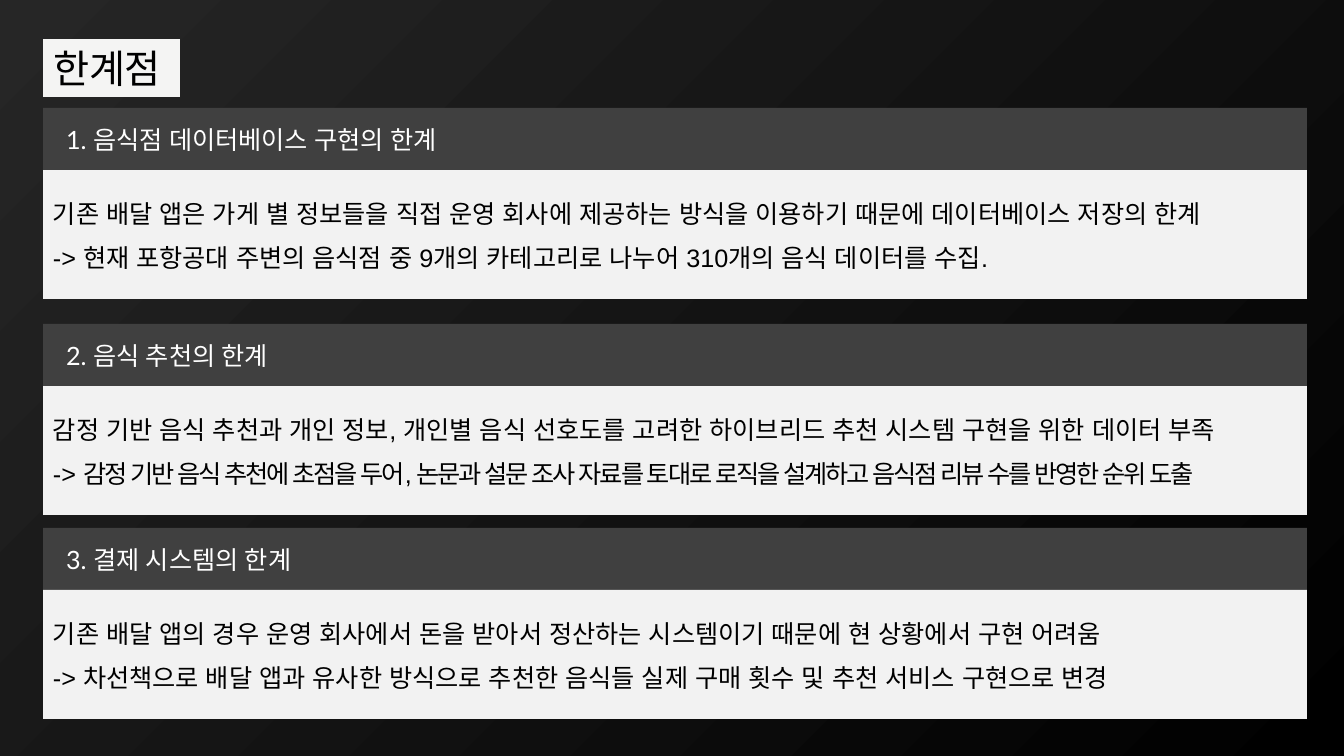
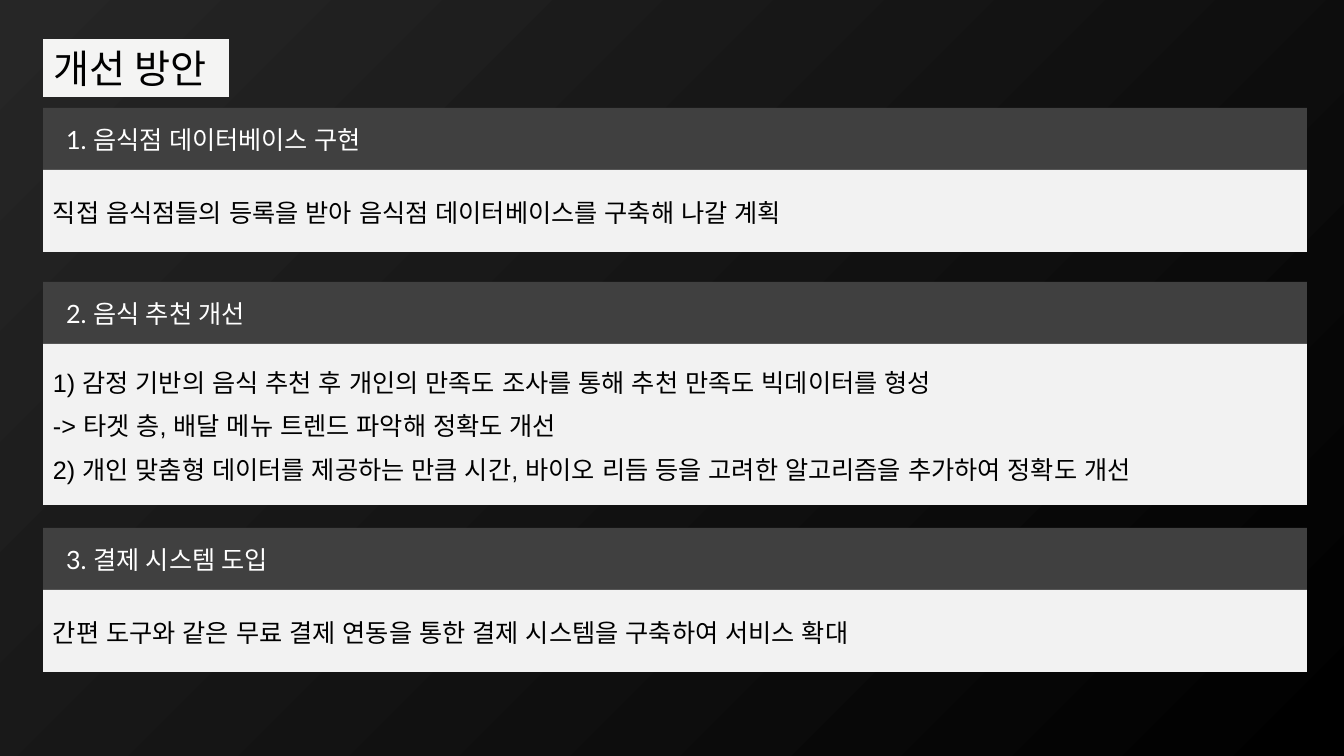
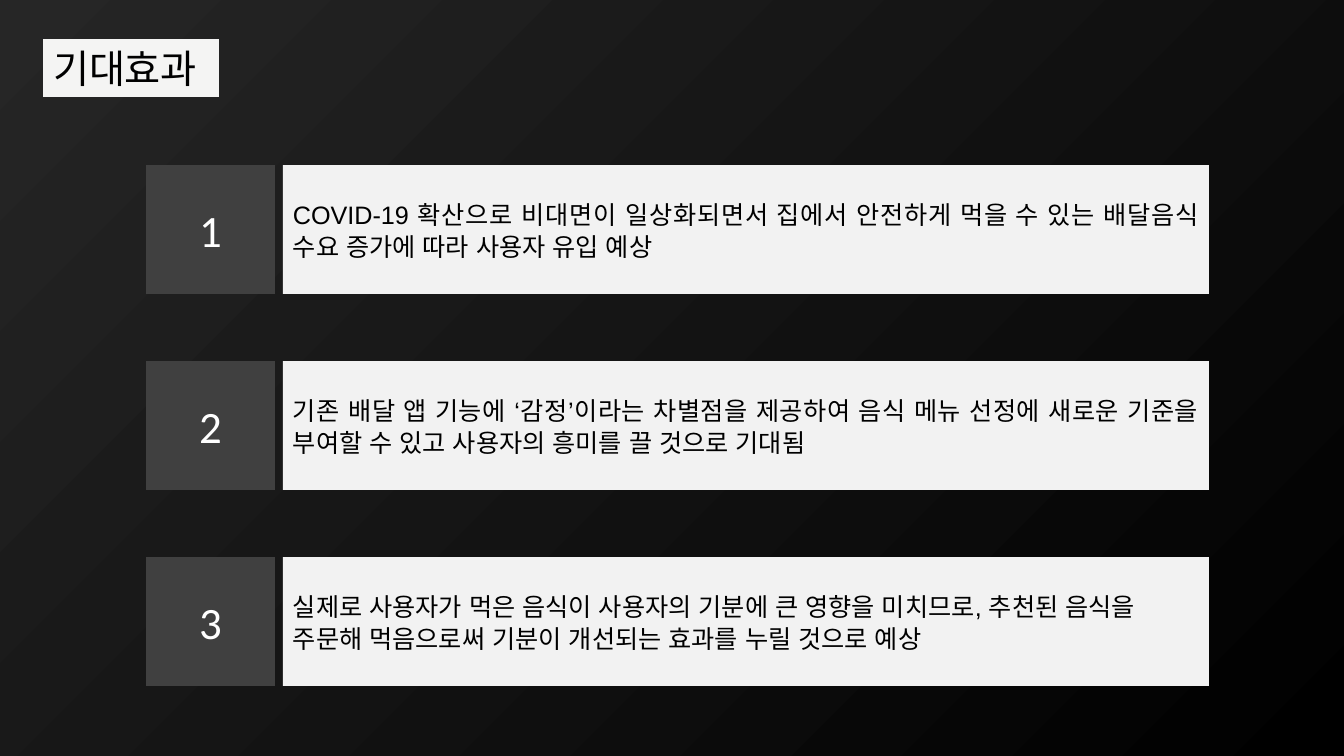
from dataclasses import dataclass

from lxml.etree import SubElement
from pptx import Presentation
from pptx.dml.color import RGBColor
from pptx.enum.shapes import MSO_SHAPE
from pptx.enum.text import MSO_ANCHOR, MSO_AUTO_SIZE, PP_ALIGN
from pptx.oxml.ns import qn
from pptx.util import Emu, Pt


@dataclass(frozen=True)
class Theme:
    bg_start: str = "262626"
    bg_end: str = "000000"
    title_fill: str = "F4F4F3"
    dark: str = "404040"
    light: str = "F2F2F2"
    black: str = "000000"
    white: str = "FFFFFF"
    title_font: str = "Roboto"
    heading_font: str = "Lato"
    body_font: str = "Arial"
    number_font: str = "Calibri"
    title_size: int = 28
    body_size: int = 18
    number_size: int = 32
    line_spacing: float = 1.07
    space_after: int = 8
    tight: float = -1.5


T = Theme()

# Each section: top in px, heading, body lines (a tuple is a lead and a tightly spaced rest)
SECTION_SLIDES = [
    ("한계점", 137, [
        (108, "1. 음식점 데이터베이스 구현의 한계", [
            "기존 배달 앱은 가게 별 정보들을 직접 운영 회사에 제공하는 방식을 이용하기 때문에 데이터베이스 저장의 한계",
            "-> 현재 포항공대 주변의 음식점 중 9개의 카테고리로 나누어 310개의 음식 데이터를 수집."]),
        (324, "2. 음식 추천의 한계", [
            "감정 기반 음식 추천과 개인 정보, 개인별 음식 선호도를 고려한 하이브리드 추천 시스템 구현을 위한 데이터 부족",
            ("-> ", "감정 기반 음식 추천에 초점을 두어, 논문과 설문 조사 자료를 토대로 로직을 설계하고 "
                   "음식점 리뷰 수를 반영한 순위 도출")]),
        (528, "3. 결제 시스템의 한계", [
            "기존 배달 앱의 경우 운영 회사에서 돈을 받아서 정산하는 시스템이기 때문에 현 상황에서 구현 어려움",
            "-> 차선책으로 배달 앱과 유사한 방식으로 추천한 음식들 실제 구매 횟수 및 추천 서비스 구현으로 변경"]),
    ]),
    ("개선 방안", 186, [
        (108, "1. 음식점 데이터베이스 구현", [
            "직접 음식점들의 등록을 받아 음식점 데이터베이스를 구축해 나갈 계획"]),
        (282, "2. 음식 추천 개선", [
            "1) 감정 기반의 음식 추천 후 개인의 만족도 조사를 통해 추천 만족도 빅데이터를 형성",
            "-> 타겟 층, 배달 메뉴 트렌드 파악해 정확도 개선",
            "2) 개인 맞춤형 데이터를 제공하는 만큼 시간, 바이오 리듬 등을 고려한 알고리즘을 추가하여 정확도 개선"]),
        (528, "3. 결제 시스템 도입", [
            "간편 도구와 같은 무료 결제 연동을 통한 결제 시스템을 구축하여 서비스 확대"]),
    ]),
]

EFFECTS_TITLE = ("기대효과", 176)
EFFECTS = [
    ("COVID-19 확산으로 비대면이 일상화되면서 집에서 안전하게 먹을 수 있는 배달음식 수요 증가에 따라 사용자 유입 예상",
     PP_ALIGN.JUSTIFY),
    ("기존 배달 앱 기능에 ‘감정’이라는 차별점을 제공하여 음식 메뉴 선정에 새로운 기준을 부여할 수 있고 "
     "사용자의 흥미를 끌 것으로 기대됨", PP_ALIGN.JUSTIFY),
    ("실제로 사용자가 먹은 음식이 사용자의 기분에 큰 영향을 미치므로, 추천된 음식을 주문해 먹음으로써 "
     "기분이 개선되는 효과를 누릴 것으로 예상", PP_ALIGN.LEFT),
]

LEFT, WIDTH = 43, 1264
TITLE_TOP, TITLE_H = 39, 58
HEADING_H, HEADING_INSET = 62, 23
BODY_H = {1: 82, 2: 129, 3: 161}  # by number of lines
EFFECT_TOP, EFFECT_PITCH, EFFECT_H = 165, 196, 129
NUMBER_LEFT, EFFECT_LEFT, EFFECT_W = 146, 283, 926


def px(n):
    return Emu(round(n * 914400 / 100.8))


def fill(sp, color):
    sp.fill.solid()
    sp.fill.fore_color.rgb = RGBColor.from_string(color)


def style(p, font, size, color, align=PP_ALIGN.LEFT):
    """Format a paragraph, with the same typeface for Latin and Korean text."""
    p.alignment = align
    p.font.name = font
    p.font.size = Pt(size)
    p.font.color.rgb = RGBColor.from_string(color)
    def_rpr = p._p.pPr.find(qn("a:defRPr"))
    SubElement(def_rpr, qn("a:ea"), typeface=font)


def add_box(slide, left, top, width, height, color):
    sp = slide.shapes.add_shape(MSO_SHAPE.RECTANGLE, px(left), px(top), px(width), px(height))
    sp.shadow.inherit = False
    sp.line.fill.background()
    fill(sp, color)
    tf = sp.text_frame
    tf.word_wrap = True
    tf.vertical_anchor = MSO_ANCHOR.MIDDLE
    return tf


def add_body(slide, left, top, width, height, lines, align=PP_ALIGN.JUSTIFY):
    tf = add_box(slide, left, top, width, height, T.light)
    for i, line in enumerate(lines):
        p = tf.paragraphs[0] if i == 0 else tf.add_paragraph()
        p.line_spacing = T.line_spacing
        p.space_after = Pt(T.space_after)
        style(p, T.body_font, T.body_size, T.black, align)
        lead, tight = (line, None) if isinstance(line, str) else line
        p.add_run().text = lead
        if tight:
            r = p.add_run()
            r.text = tight
            r._r.get_or_add_rPr().set("spc", str(int(T.tight * 100)))


def add_section(slide, top, heading, lines):
    tf = add_box(slide, LEFT, top, WIDTH, HEADING_H, T.dark)
    tf.margin_left = px(HEADING_INSET)
    tf.text = heading
    style(tf.paragraphs[0], T.heading_font, T.body_size, T.white)
    add_body(slide, LEFT, top + HEADING_H, WIDTH, BODY_H[len(lines)], lines)


def add_effect(slide, number, text, align):
    top = EFFECT_TOP + (number - 1) * EFFECT_PITCH
    tf = add_box(slide, NUMBER_LEFT, top, EFFECT_H, EFFECT_H, T.dark)
    tf.text = str(number)
    style(tf.paragraphs[0], T.number_font, T.number_size, T.white, PP_ALIGN.CENTER)
    add_body(slide, EFFECT_LEFT, top, EFFECT_W, EFFECT_H, [text], align)


def add_titled_slide(prs, text, width):
    slide = prs.slides.add_slide(prs.slide_layouts[5])
    title = slide.shapes.title
    title.left, title.top, title.width, title.height = map(px, (LEFT, TITLE_TOP, width, TITLE_H))
    fill(title, T.title_fill)
    tf = title.text_frame
    tf.text = text
    tf.word_wrap = True
    tf.auto_size = MSO_AUTO_SIZE.NONE
    tf.vertical_anchor = MSO_ANCHOR.TOP
    style(tf.paragraphs[0], T.title_font, T.title_size, T.black)
    return slide


def set_background(master):
    bg = master.background.fill
    bg.gradient()
    bg.gradient_angle = 315
    for stop, color in zip(bg.gradient_stops, (T.bg_start, T.bg_end)):
        stop.color.rgb = RGBColor.from_string(color)


def main():
    prs = Presentation()
    prs.slide_width, prs.slide_height = px(1344), px(756)
    set_background(prs.slide_master)
    for title, width, sections in SECTION_SLIDES:
        slide = add_titled_slide(prs, title, width)
        for section in sections:
            add_section(slide, *section)
    slide = add_titled_slide(prs, *EFFECTS_TITLE)
    for number, (text, align) in enumerate(EFFECTS, 1):
        add_effect(slide, number, text, align)
    prs.save("out.pptx")


if __name__ == "__main__":
    main()
